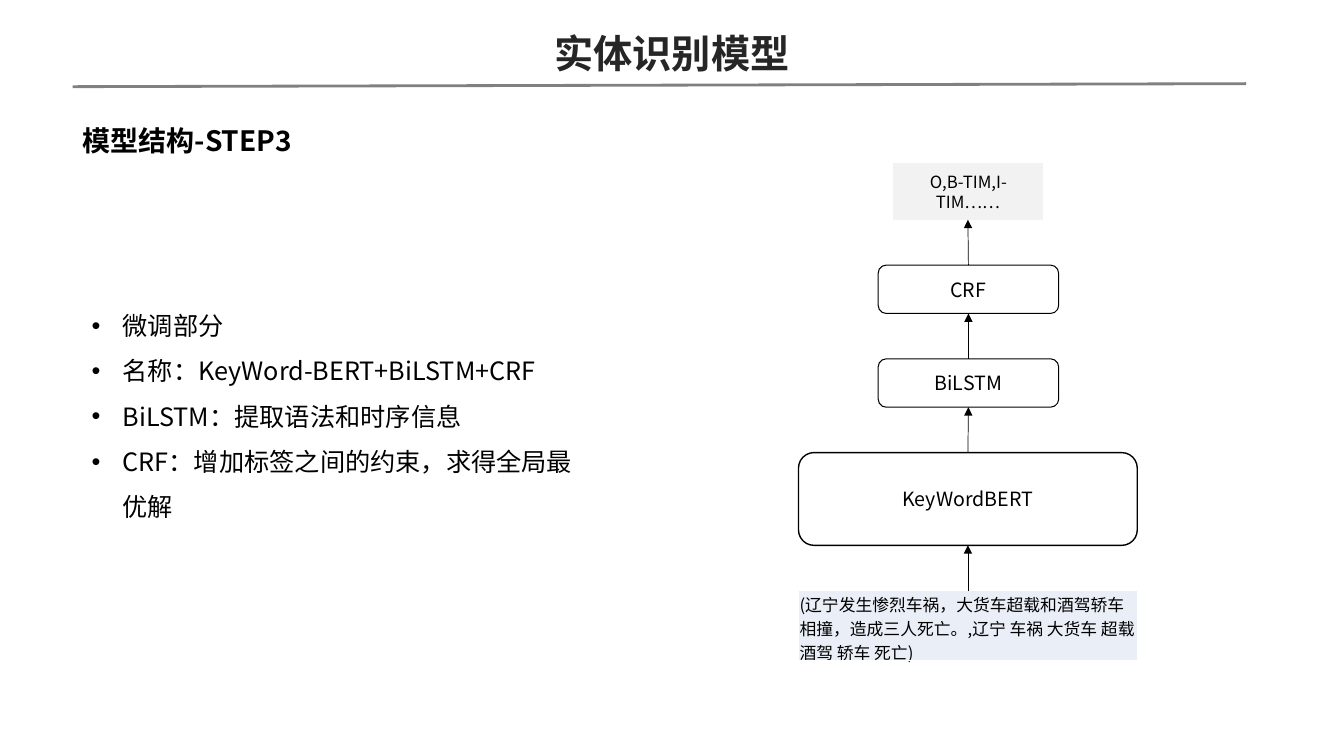
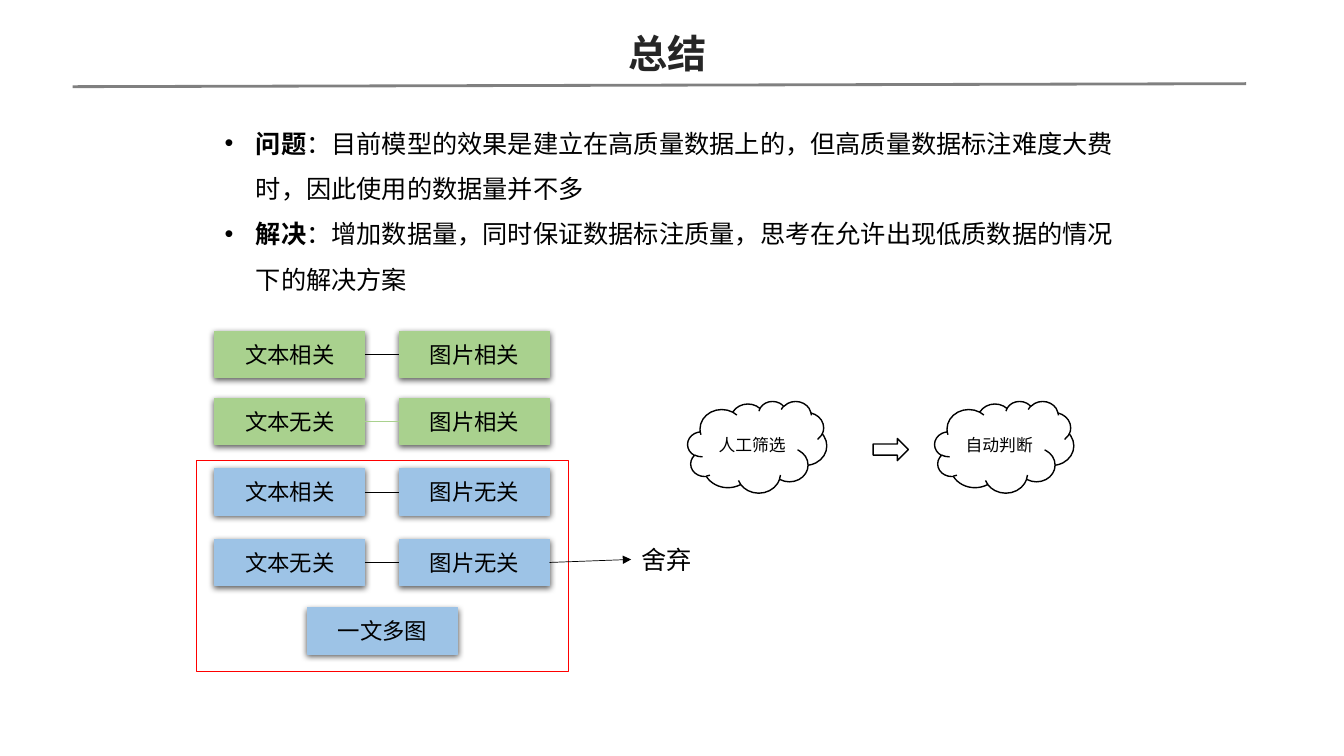
from dataclasses import dataclass

from lxml import etree
from pptx import Presentation
from pptx.dml.color import RGBColor
from pptx.enum.shapes import MSO_CONNECTOR, MSO_SHAPE
from pptx.enum.text import MSO_ANCHOR, MSO_AUTO_SIZE, PP_ALIGN
from pptx.oxml.ns import qn
from pptx.util import Emu, Pt

# Scale: 100 px to the inch
PX = 9144
WIDE, HIGH = 1333, 750

FONT = "Noto Sans CJK SC"
BLACK = RGBColor(0x00, 0x00, 0x00)
WHITE = RGBColor(0xFF, 0xFF, 0xFF)
INK = RGBColor(0x26, 0x26, 0x26)
GRAY = RGBColor(0x80, 0x80, 0x80)
PALE = RGBColor(0xF2, 0xF2, 0xF2)
ICE = RGBColor(0xEA, 0xEF, 0xF7)
GREEN = RGBColor(0xA9, 0xD1, 0x8E)
BLUE = RGBColor(0x9D, 0xC3, 0xE6)
RED = RGBColor(0xFF, 0x00, 0x00)

RECT = MSO_SHAPE.RECTANGLE
ROUND = MSO_SHAPE.ROUNDED_RECTANGLE
CLOUD = MSO_SHAPE.CLOUD
ARROW = MSO_SHAPE.RIGHT_ARROW
LINE = MSO_CONNECTOR.STRAIGHT
LEFT, CENTER = PP_ALIGN.LEFT, PP_ALIGN.CENTER
MIDDLE = MSO_ANCHOR.MIDDLE
GROW = MSO_AUTO_SIZE.SHAPE_TO_FIT_TEXT

# Connection sites of a rectangle
TOP, WEST, BASE, EAST = range(4)


@dataclass(frozen=True)
class Box:
    x: int
    y: int
    w: int
    h: int

    def emu(self) -> list[Emu]:
        return [Emu(n * PX) for n in (self.x, self.y, self.w, self.h)]


@dataclass(frozen=True)
class Layer:
    """One stage of the model, from top to bottom."""
    text: str
    w: int
    h: int
    kind: MSO_SHAPE = ROUND
    size: int = 14
    fill: RGBColor | None = None
    edge: RGBColor = BLACK
    weight: float = 0.75


@dataclass(frozen=True)
class Pair:
    """A text label linked to an image label."""
    y: int
    left: str
    right: str
    fill: RGBColor
    line: RGBColor = BLACK


LAYERS = [
    Layer("O,B-TIM,I-TIM……", 148, 56, RECT, 12, PALE, PALE),
    Layer("CRF", 179, 48),
    Layer("BiLSTM", 179, 48),
    Layer("KeyWordBERT", 336, 92, weight=1),
]
PAIRS = [
    Pair(329, "文本相关", "图片相关", GREEN),
    Pair(395, "文本无关", "图片相关", GREEN, GREEN),
    Pair(465, "文本相关", "图片无关", BLUE),
    Pair(535, "文本无关", "图片无关", BLUE),
]


# Text
def write(frame, *paras, size=18, bold=False, color=BLACK, align=LEFT,
          space=None, bullet=False) -> None:
    """Each paragraph is a string, or a (bold lead, plain rest) pair."""
    frame.word_wrap = True
    for i, item in enumerate(paras):
        para = frame.paragraphs[0] if i == 0 else frame.add_paragraph()
        if bullet:
            props = para._p.get_or_add_pPr()
            props.set("marL", str(31 * PX))
            props.set("indent", str(-31 * PX))
            etree.SubElement(props, qn("a:buFont"), typeface="Arial")
            etree.SubElement(props, qn("a:buChar"), char="•")
        para.alignment = align
        if space:
            para.line_spacing = space
        runs = [(item, bold)] if isinstance(item, str) else zip(item, (True, False))
        for text, heavy in runs:
            run = para.add_run()
            run.text = text
            font = run.font
            font.size, font.bold, font.name = Pt(size), heavy, FONT
            font.color.rgb = color
            etree.SubElement(run._r.get_or_add_rPr(), qn("a:ea"), typeface=FONT)


def label(slide, box: Box, *paras, **form):
    shape = slide.shapes.add_textbox(*box.emu())
    write(shape.text_frame, *paras, **form)
    shape.text_frame.auto_size = GROW
    return shape


# Shapes and lines
def draw(slide, kind: MSO_SHAPE, box: Box, text: str = "", size: int = 16,
         fill: RGBColor | None = None, edge: RGBColor = BLACK,
         weight: float = 1):
    shape = slide.shapes.add_shape(kind, *box.emu())
    shape.shadow.inherit = False
    if fill is None:
        shape.fill.background()
    else:
        shape.fill.solid()
        shape.fill.fore_color.rgb = fill
    shape.line.color.rgb = edge
    shape.line.width = Pt(weight)
    if text:
        shape.text_frame.vertical_anchor = MIDDLE
        write(shape.text_frame, text, size=size, align=CENTER)
    return shape


def tile(slide, x: int, y: int, text: str, fill: RGBColor):
    """A filled label with a soft shadow below it."""
    shape = draw(slide, RECT, Box(x, y, 149, 46), text, fill=fill,
                 edge=fill, weight=0.75)
    glow = shape._element.spPr.find(qn("a:effectLst"))
    cast = etree.SubElement(glow, qn("a:outerShdw"), blurRad=str(Pt(4.5)),
                            dist=str(Pt(1.5)), dir="5400000",
                            algn="ctr", rotWithShape="0")
    tint = etree.SubElement(cast, qn("a:srgbClr"), val=str(BLACK))
    etree.SubElement(tint, qn("a:alpha"), val="63000")
    return shape


def rule(slide, start: tuple[int, int], end: tuple[int, int],
         color: RGBColor = BLACK, weight: float = 0.5, tip: bool = False):
    line = slide.shapes.add_connector(
        LINE, *(Emu(n * PX) for n in (*start, *end)))
    line.line.color.rgb = color
    line.line.width = Pt(weight)
    if tip:
        etree.SubElement(line.line._get_or_add_ln(), qn("a:tailEnd"),
                         type="triangle")
    etree.SubElement(line._element.spPr, qn("a:effectLst"))
    return line


def join(slide, first, exit: int, last, entry: int, **form) -> None:
    line = rule(slide, (0, 0), (1, 1), **form)
    line.begin_connect(first, exit)
    line.end_connect(last, entry)


def grid(slide, box: Box, text: str) -> None:
    """A one-cell table with white borders."""
    table = slide.shapes.add_table(1, 1, *box.emu()).table
    table.first_row = table.horz_banding = False
    cell = table.cell(0, 0)
    cell.vertical_anchor = MIDDLE
    cell.margin_left = cell.margin_right = cell.margin_top = Emu(PX)
    cell.margin_bottom = Emu(0)
    props = cell._tc.get_or_add_tcPr()
    for side in "LRTB":
        edge = etree.SubElement(props, qn(f"a:ln{side}"), w=str(Pt(1)))
        paint = etree.SubElement(edge, qn("a:solidFill"))
        etree.SubElement(paint, qn("a:srgbClr"), val=str(WHITE))
    cell.fill.solid()
    cell.fill.fore_color.rgb = ICE
    write(cell.text_frame, text, size=12)


# Slides
def start(deck, title: str):
    """A blank slide with the shared title and rule."""
    slide = deck.slides.add_slide(deck.slide_layouts[6])
    rule(slide, (72, 86), (1236, 83), color=GRAY, weight=2)
    label(slide, Box(0, 24, WIDE, 57), title, size=28, bold=True,
          color=INK, align=CENTER)
    return slide


def model(deck) -> None:
    slide = start(deck, "实体识别模型")
    label(slide, Box(72, 118, 276, 44), "模型结构-STEP3", size=20, bold=True)
    label(slide, Box(81, 288, 504, 233),
          "微调部分",
          "名称：KeyWord-BERT+BiLSTM+CRF",
          "BiLSTM：提取语法和时序信息",
          "CRF：增加标签之间的约束，求得全局最优解",
          space=1.5, bullet=True)

    # Model stack, each layer feeding the one above
    axis, y, gap = 960, 162, 45
    above = None
    for item in LAYERS:
        box = Box(axis - item.w // 2, y, item.w, item.h)
        shape = draw(slide, item.kind, box, item.text, item.size,
                     item.fill, item.edge, item.weight)
        if above is not None:
            join(slide, shape, TOP, above, BASE, tip=True)
        above = shape
        y += item.h + gap

    # Input sentence and keywords
    grid(slide, Box(792, y, 336, 69),
         "(辽宁发生惨烈车祸，大货车超载和酒驾轿车相撞，造成三人死亡。"
         ",辽宁 车祸 大货车 超载 酒驾 轿车 死亡)")
    feed = rule(slide, (axis, y), (axis, y - gap), tip=True)
    feed.end_connect(above, BASE)


def close(deck) -> None:
    slide = start(deck, "总结 ")
    label(slide, Box(213, 107, 906, 222),
          ("问题", "：目前模型的效果是建立在高质量数据上的，"
                   "但高质量数据标注难度大费时，因此使用的数据量并不多"),
          ("解决", "：增加数据量，同时保证数据标注质量，"
                   "思考在允许出现低质数据的情况下的解决方案"),
          space=1.5, bullet=True)

    # Pairs of text and image labels
    for pair in PAIRS:
        left = tile(slide, 213, pair.y, pair.left, pair.fill)
        right = tile(slide, 396, pair.y, pair.right, pair.fill)
        join(slide, left, EAST, right, WEST, color=pair.line)
    tile(slide, 305, 603, "一文多图", BLUE)

    # Discarded group
    draw(slide, RECT, Box(195, 457, 369, 209), edge=RED)
    drop = label(slide, Box(626, 535, 110, 40), "舍弃")
    join(slide, right, EAST, drop, WEST, tip=True)

    # From manual to automatic
    for x, text in ((682, "人工筛选"), (927, "自动判断")):
        draw(slide, CLOUD, Box(x, 398, 138, 91), text, size=12)
    draw(slide, ARROW, Box(866, 435, 35, 22))


def main() -> None:
    deck = Presentation()
    deck.slide_width, deck.slide_height = Emu(WIDE * PX), Emu(HIGH * PX)
    model(deck)
    close(deck)
    deck.save("out.pptx")


if __name__ == "__main__":
    main()
